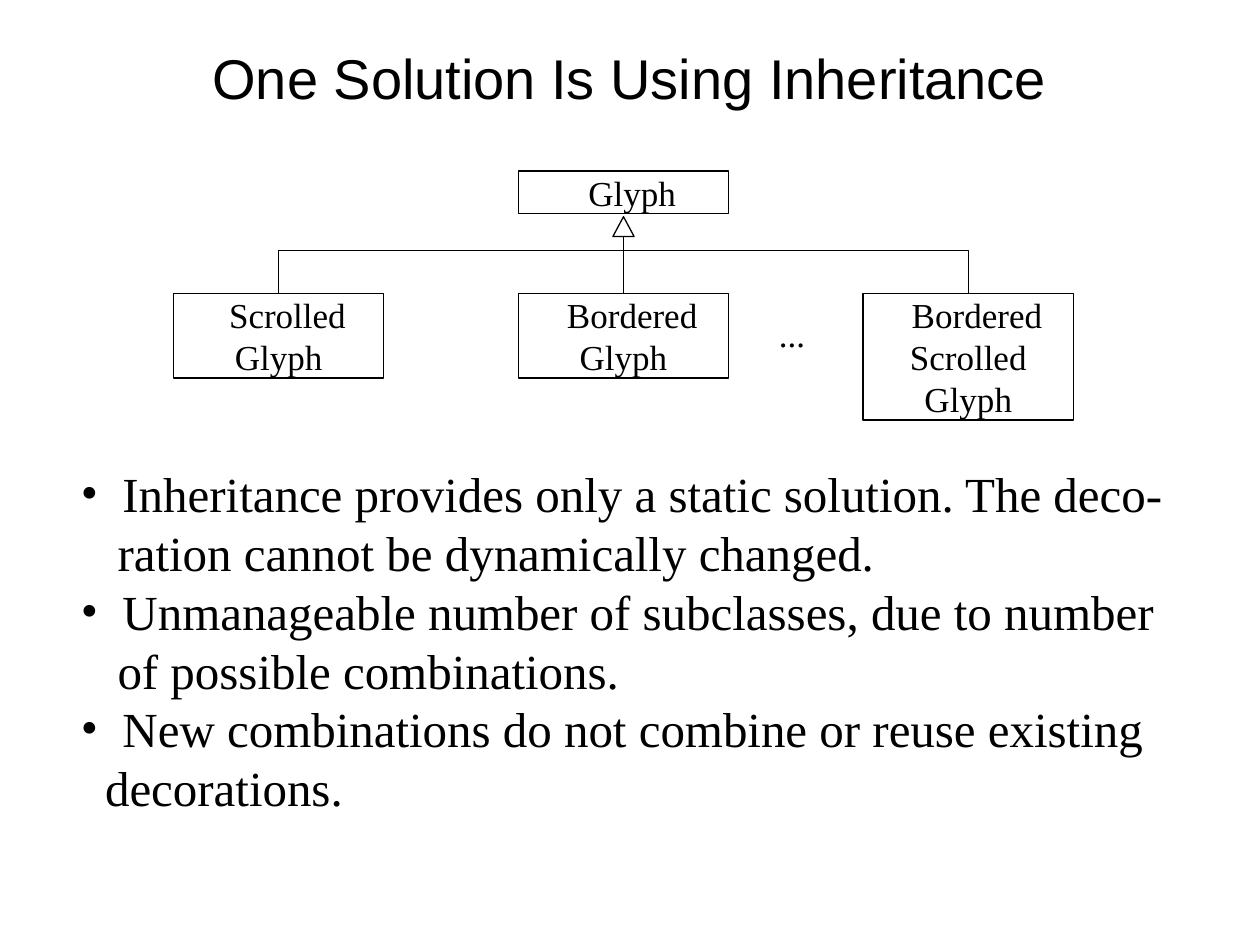
from pptx import Presentation
from pptx.dml.color import RGBColor
from pptx.enum.shapes import MSO_CONNECTOR, MSO_SHAPE as SHAPE
from pptx.enum.text import MSO_ANCHOR as ANCHOR, PP_ALIGN as ALIGN
from pptx.oxml.ns import qn
from pptx.util import Cm, Pt
from lxml.etree import SubElement

COLORS = {"ink": "000000"}
SERIF, SANS = "Times New Roman", "Arial"
INK = RGBColor.from_string(COLORS["ink"])
LINE = Pt(0.74)


def write(frame, lines, size, font=SERIF, align=ALIGN.LEFT, anchor=ANCHOR.TOP,
          wrap=True):
    """Each line is (text, left margin in cm, first-line indent in cm, bullet)."""
    frame.margin_left = frame.margin_right = 0
    frame.margin_top = frame.margin_bottom = 0
    frame.word_wrap = wrap
    frame.vertical_anchor = anchor
    for number, (text, margin, indent, bullet) in enumerate(lines):
        para = frame.add_paragraph() if number else frame.paragraphs[0]
        para.alignment = align
        para.line_spacing = Pt(size * 1.2)
        props = para._p.get_or_add_pPr()
        props.set("marL", str(Cm(margin)))
        props.set("indent", str(Cm(indent)))
        if bullet:
            SubElement(props, qn("a:buFont")).set("typeface", SERIF)
            SubElement(props, qn("a:buChar")).set("char", bullet)
        run = para.add_run()
        run.text = text
        run.font.size = Pt(size)
        run.font.name = font
        run.font.color.rgb = INK


def add_text(slide, box, lines, size, **style):
    frame = slide.shapes.add_textbox(*map(Cm, box)).text_frame
    write(frame, lines, size, **style)


def outline(shape):
    shape.shadow.inherit = False
    shape.fill.background()
    shape.line.color.rgb = INK
    shape.line.width = LINE
    return shape


def add_class(slide, box, name):
    rect = outline(slide.shapes.add_shape(SHAPE.RECTANGLE, *map(Cm, box)))
    write(rect.text_frame, [(name, 0, 0.35, None)], 20, align=ALIGN.CENTER)


def add_stem(slide, x, top, bottom):
    stem = slide.shapes.add_connector(
        MSO_CONNECTOR.STRAIGHT, Cm(x), Cm(top), Cm(x), Cm(bottom))
    stem.line.color.rgb = INK
    stem.line.width = LINE
    SubElement(stem._element.spPr, qn("a:effectLst"))


def add_title(slide, box):
    add_text(slide, box, [("One Solution Is Using Inheritance", 0, 0, None)], 32,
             font=SANS, align=ALIGN.CENTER, anchor=ANCHOR.MIDDLE)


def add_class_diagram(slide, box):
    left, top, width, _ = box
    class_width, row = 4.24, 0.85
    pitch = (width - class_width) / 2
    center = left + width / 2
    child_top, bus = top + 2.47, top + 1.6

    # Parent class and its subclasses
    add_class(slide, (left + pitch, top, class_width, row), "Glyph")
    subclasses = ["Scrolled Glyph", "Bordered Glyph", "Bordered Scrolled Glyph"]
    for column, name in enumerate(subclasses):
        rows = len(name.split())
        add_class(slide, (left + column * pitch, child_top, class_width, rows * row), name)

    # Inheritance arrow
    head_width, head_height, head_top = 0.43, 0.4, top + 0.92
    outline(slide.shapes.add_shape(
        SHAPE.ISOSCELES_TRIANGLE, Cm(center - head_width / 2), Cm(head_top),
        Cm(head_width), Cm(head_height)))
    add_stem(slide, center, head_top + head_height, child_top)

    # Branch to the outer subclasses
    first, last = center - pitch, center + pitch
    branch = slide.shapes.build_freeform(Cm(first), Cm(child_top))
    branch.add_line_segments(
        [(Cm(first), Cm(bus)), (Cm(last), Cm(bus)), (Cm(last), Cm(child_top))],
        close=False)
    outline(branch.convert_to_shape())

    # Further subclasses
    add_text(slide, (left + 12.2, child_top + 0.38, 0.53, row),
             [("...", 0, 0, None)], 20, wrap=False)


def add_drawbacks(slide, box):
    drawbacks = [
        ("Inheritance provides only a static solution. The deco-",
         "ration cannot be dynamically changed.", 0.74),
        ("Unmanageable number of subclasses, due to number",
         "of possible combinations.", 0.74),
        ("New combinations do not combine or reuse existing",
         "decorations.", 0.49),
    ]
    lines = []
    for opening, rest, margin in drawbacks:
        lines += [(opening, 0.84, -0.84, "•"), (rest, margin, 0, None)]
    add_text(slide, box, lines, 28)


prs = Presentation()
prs.slide_width, prs.slide_height = Cm(25.4), Cm(19.05)
slide = prs.slides.add_slide(prs.slide_layouts[6])
add_title(slide, (1.27, 0.76, 22.86, 1.57))
add_class_diagram(slide, (3.5, 3.45, 18.14, 5.02))
add_drawbacks(slide, (1.63, 9.35, 22.23, 7.11))
prs.save("out.pptx")
